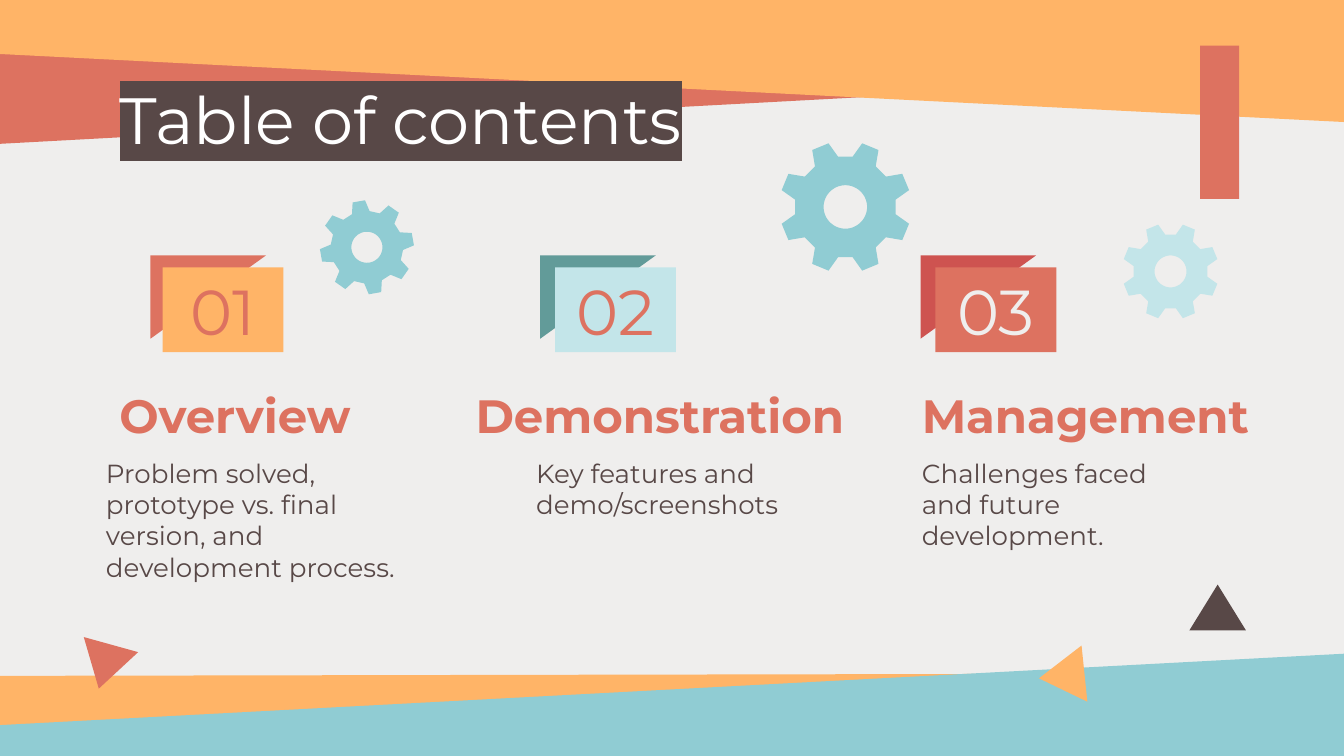
from math import cos, radians, sin

from lxml.etree import SubElement
from pptx import Presentation
from pptx.dml.color import RGBColor
from pptx.enum.shapes import MSO_SHAPE as SHAPE
from pptx.enum.text import MSO_ANCHOR as ANCHOR
from pptx.enum.text import MSO_AUTO_SIZE as FIT
from pptx.enum.text import PP_ALIGN as ALIGN
from pptx.oxml.ns import qn
from pptx.util import Emu, Pt

SCALE = 9144
WIDE = 1000
FONT = "Montserrat"
PAPER, WHITE, BROWN = "EFEEED", "FFFFFF", "584847"
CORAL, AMBER, RED = "DD7260", "FFB467", "CE5350"
BLUE, PALE, TEAL = "90CCD3", "C3E5E9", "629B99"

TOPICS = [
    ("01", 121, 112, AMBER, CORAL, CORAL,
     "Overview", (79, 278, 300, 54),
     "Problem solved, prototype vs. final version, and development process.",
     (69, 330, 255, 153)),
    ("02", 413, 402, PALE, TEAL, CORAL,
     "Demonstration", (344, 278, 310, 52),
     "Key features and demo/screenshots", (389, 330, 222, 87)),
    ("03", 696, 685, CORAL, RED, PAPER,
     "Management", (676, 278, 271, 52),
     "Challenges faced and future development.", (676, 330, 222, 87)),
]


def px(value):
    return Emu(round(value * SCALE))


def color(code):
    return RGBColor.from_string(code)


def paint(shape, fill):
    shape.shadow.inherit = False
    shape.fill.solid()
    shape.fill.fore_color.rgb = color(fill)
    shape.line.fill.background()


def add_form(slide, fill, *loops):
    loops = [[(px(x), px(y)) for x, y in loop] for loop in loops]
    form = slide.shapes.build_freeform(*loops[0][0])
    form.add_line_segments(loops[0][1:], close=True)
    for loop in loops[1:]:
        form.move_to(*loop[0])
        form.add_line_segments(loop[1:], close=True)
    paint(form.convert_to_shape(), fill)


def add_block(slide, kind, box, fill, turn=0):
    block = slide.shapes.add_shape(kind, *map(px, box))
    paint(block, fill)
    block.rotation = turn
    return block


def add_gear(slide, x, y, size, fill, turn=0):
    def spot(angle, reach):
        angle = radians(angle + turn)
        return x + reach * size * sin(angle), y - reach * size * cos(angle)

    tooth = [(8.2, 0.77), (14.8, 1), (30.2, 1), (36.8, 0.77)]
    rim = [spot(45 * step + angle, reach)
           for step in range(8) for angle, reach in tooth]
    hole = [spot(-angle, 0.33) for angle in range(0, 360, 6)]
    add_form(slide, fill, rim, hole)


def write(shape, text, size, ink, bold=False, align=ALIGN.LEFT,
          anchor=ANCHOR.TOP, after=0):
    frame = shape.text_frame
    frame.word_wrap = True
    frame.auto_size = FIT.NONE
    frame.vertical_anchor = anchor
    frame.margin_left = frame.margin_right = px(10)
    frame.margin_top = frame.margin_bottom = px(10)
    line = frame.paragraphs[0]
    line.alignment = align
    line.space_before, line.space_after = Pt(0), Pt(after)
    run = line.add_run()
    run.text = text
    run.font.name, run.font.size, run.font.bold = FONT, Pt(size), bold
    run.font.color.rgb = color(ink)
    return run


def add_text(slide, box, *args, **style):
    write(slide.shapes.add_textbox(*map(px, box)), *args, **style)


def mark(run, code):
    props = run.font._element
    light = SubElement(props, qn("a:highlight"))
    SubElement(light, qn("a:srgbClr"), val=code)
    props.find(qn("a:solidFill")).addnext(light)


def add_title(slide, text):
    title = slide.shapes.title
    title.left, title.top, title.width, title.height = map(
        px, (79, 49, 843, 70))
    title.element.getparent().append(title.element)
    mark(write(title, text, 35, WHITE), BROWN)


def add_decor(slide):
    add_form(slide, AMBER, [(-6, 503), (-6, 595), (1005, 501)])
    add_form(slide, BLUE, [(1008, 486), (1008, 601), (-8, 601), (-8, 540)])
    add_form(slide, CORAL, [(1072, 49), (-18, 108), (-10, -17)])
    add_form(slide, AMBER, [(1003, 91), (1003, -19), (-5, -19), (-5, 40)])
    add_block(slide, SHAPE.RECTANGLE, (893, 34, 29, 114), CORAL)
    for x, y, fill, turn in [(885, 435, BROWN, 0), (769, 486, AMBER, 264.1),
                             (57, 479, CORAL, 195.5)]:
        add_block(slide, SHAPE.ISOSCELES_TRIANGLE, (x, y, 42, 34), fill, turn)
    add_gear(slide, 871, 202, 36, PALE)
    add_gear(slide, 629, 154, 49, BLUE)
    add_gear(slide, 273, 184, 35, BLUE, 12.5)


def add_topic(slide, num, left, flag, fill, shade, ink, head, top, body, low):
    add_form(slide, shade, [(flag, 190), (flag + 86, 190), (flag, 252)])
    card = add_block(slide, SHAPE.RECTANGLE, (left, 199, 90, 63), fill)
    write(card, num, 34, ink, align=ALIGN.CENTER, anchor=ANCHOR.MIDDLE)
    add_text(slide, top, head, 25, CORAL, bold=True, after=16)
    add_text(slide, low, body, 14, BROWN)


def main():
    deck = Presentation()
    deck.slide_width, deck.slide_height = px(WIDE), px(WIDE * 9 / 16)
    slide = deck.slides.add_slide(deck.slide_layouts[5])
    slide.background.fill.solid()
    slide.background.fill.fore_color.rgb = color(PAPER)
    add_decor(slide)
    add_title(slide, "Table of contents")
    for topic in TOPICS:
        add_topic(slide, *topic)
    deck.save("out.pptx")


if __name__ == "__main__":
    main()
